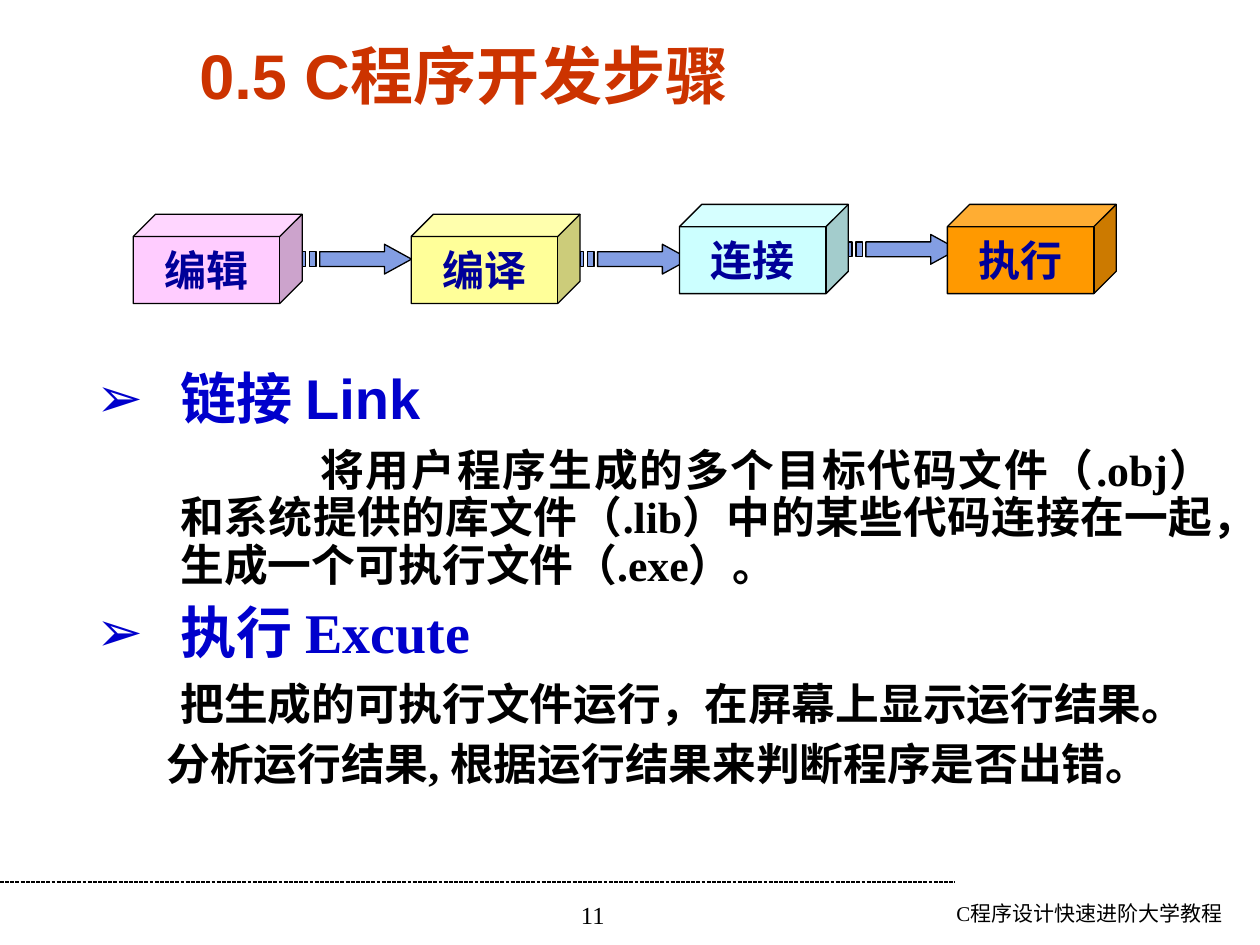
from lxml import etree
from pptx import Presentation
from pptx.dml.color import RGBColor
from pptx.enum.dml import MSO_LINE
from pptx.enum.shapes import MSO_CONNECTOR, MSO_SHAPE
from pptx.enum.text import MSO_ANCHOR, MSO_AUTO_SIZE, PP_ALIGN
from pptx.oxml.ns import qn
from pptx.util import Pt

CUBE, STRAIGHT, DASHED = MSO_SHAPE.CUBE, MSO_CONNECTOR.STRAIGHT, MSO_LINE.SQUARE_DOT
MIDDLE, NO_FIT = MSO_ANCHOR.MIDDLE, MSO_AUTO_SIZE.NONE
CENTER, RIGHT, JUSTIFY = PP_ALIGN.CENTER, PP_ALIGN.RIGHT, PP_ALIGN.JUSTIFY
SERIF, SANS, STEP_FONT = "Times New Roman", "Arial", "DejaVu Sans"
BLACK, BLUE, NAVY, RED, ARROW_BLUE = "000000", "0000CC", "000099", "CC3300", "839EE3"

CUBE_WIDTH, CUBE_HEIGHT = 96.5, 51
ARROW_WIDTH, ARROW_HEIGHT, ARROW_DROP = 62.5, 17, 17.2
STEPS = [
    ("编辑", 76.2, 122.4, "FFCCFF"),
    ("编译", 235, 122.4, "FFFF99"),
    ("连接", 388.3, 116.8, "CCFFFF"),
    ("执行", 541.4, 116.8, "FF9900"),
]
HEADING, DETAIL = (32, BLUE), (25, BLACK)
BODY = [
    ("链接 Link", HEADING, SANS, 48, -48, 0),
    ("将用户程序生成的多个目标代码文件（.obj）和系统提供的库文件（.lib）中的某些代码连接在一起，"
     "生成一个可执行文件（.exe）。", DETAIL, SERIF, 48, 80, 9.7),
    ("执行 Excute", HEADING, SERIF, 48, -48, 8.5),
    ("把生成的可执行文件运行，在屏幕上显示运行结果。", DETAIL, SERIF, 48, 0, 9.7),
    ("分析运行结果, 根据运行结果来判断程序是否出错。", DETAIL, SERIF, 40, 0, 7.2),
]


def color(value):
    """Turn a hex string into a colour."""
    return RGBColor.from_string(value)


def format_paragraph(paragraph, font_name, size, value, bold, alignment):
    """Align a paragraph and format its runs."""
    paragraph.alignment = alignment
    for run in paragraph.runs:
        font = run.font
        font.name, font.size, font.bold = font_name, Pt(size), bold
        font.color.rgb = color(value)


def paint(shape, value):
    """Give a shape a flat fill and a thin black outline."""
    shape.shadow.inherit = False
    shape.fill.solid()
    shape.fill.fore_color.rgb = color(value)
    shape.line.color.rgb = color(BLACK)
    shape.line.width = Pt(0.75)


def add_title(slide, left, top, width, height):
    """Place and format the title placeholder."""
    title = slide.shapes.title
    title.left, title.top = Pt(left), Pt(top)
    title.width, title.height = Pt(width), Pt(height)
    frame = title.text_frame
    frame.text = "0.5 C程序开发步骤"
    frame.auto_size, frame.vertical_anchor = NO_FIT, MIDDLE
    format_paragraph(frame.paragraphs[0], SANS, 36, RED, True, CENTER)


def add_text_box(slide, left, top, width, height):
    """Add a wrapping text box and return its text frame."""
    box = slide.shapes.add_textbox(Pt(left), Pt(top), Pt(width), Pt(height))
    box.text_frame.word_wrap = True
    return box.text_frame


def add_step(slide, label, left, top, value):
    """Add one labelled cube of the process."""
    cube = slide.shapes.add_shape(CUBE, Pt(left), Pt(top), Pt(CUBE_WIDTH), Pt(CUBE_HEIGHT))
    paint(cube, value)
    frame = cube.text_frame
    frame.text = label
    frame.word_wrap, frame.vertical_anchor = False, MIDDLE
    format_paragraph(frame.paragraphs[0], STEP_FONT, 24, NAVY, True, CENTER)


def add_striped_arrow(slide, left, top, width, height):
    """Add a right arrow with two stripes at its tail."""
    upper, lower = height / 4, height * 3 / 4
    head = width - 15.5
    outlines = [
        [(10, upper), (head, upper), (head, 0), (width, height / 2),
         (head, height), (head, lower), (10, lower)],
    ]
    for start, end in ((0, 2), (4.3, 7.9)):
        outlines.append([(start, upper), (end, upper), (end, lower), (start, lower)])
    builder = None
    for outline in outlines:
        points = [(Pt(left + x), Pt(top + y)) for x, y in outline]
        if builder is None:
            builder = slide.shapes.build_freeform(*points[0])
        else:
            builder.move_to(*points[0])
        builder.add_line_segments(points[1:], close=True)
    paint(builder.convert_to_shape(), ARROW_BLUE)


def add_process(slide):
    """Add the cubes with an arrow after each but the last."""
    for label, left, top, value in STEPS:
        add_step(slide, label, left, top, value)
        if label != STEPS[-1][0]:
            add_striped_arrow(slide, left + CUBE_WIDTH, top + ARROW_DROP,
                              ARROW_WIDTH, ARROW_HEIGHT)


def set_indent(paragraph, margin, indent, bulleted):
    """Set a paragraph's indents and, if wanted, its arrow bullet."""
    properties = paragraph._p.get_or_add_pPr()
    properties.set("marL", str(Pt(margin)))
    properties.set("indent", str(Pt(indent)))
    if bulleted:
        bullet_color = etree.SubElement(properties, qn("a:buClr"))
        etree.SubElement(bullet_color, qn("a:srgbClr")).set("val", BLUE)
        etree.SubElement(properties, qn("a:buFont")).set("typeface", STEP_FONT)
        etree.SubElement(properties, qn("a:buChar")).set("char", "➢")


def add_body(slide, left, top, width, height):
    """Add the headings and their explanations."""
    frame = add_text_box(slide, left, top, width, height)
    for index, (text, style, font_name, margin, indent, space) in enumerate(BODY):
        size, value = style
        paragraph = frame.add_paragraph() if index else frame.paragraphs[0]
        paragraph.text = text
        set_indent(paragraph, margin, indent, style == HEADING)
        paragraph.line_spacing = 0.9
        if index:
            paragraph.space_before = Pt(space)
        format_paragraph(paragraph, font_name, size, value, True, JUSTIFY)


def add_footer(slide, top, width):
    """Add the dashed rule, the page number and the book title."""
    rule = slide.shapes.add_connector(STRAIGHT, Pt(0), Pt(top), Pt(width), Pt(top))
    rule.line.color.rgb = color(BLACK)
    rule.line.width, rule.line.dash_style = Pt(0.75), DASHED
    etree.SubElement(rule._element.spPr, qn("a:effectLst"))
    for text, left, box_width, size, alignment in (
        ("C程序设计快速进阶大学教程", 473, 232.6, 12, RIGHT),
        ("11", 263.5, 150.5, 14, CENTER),
    ):
        frame = add_text_box(slide, left, top + 7, box_width, 28)
        frame.text = text
        format_paragraph(frame.paragraphs[0], SERIF, size, BLACK, False, alignment)


def main():
    """Build and save the slide."""
    presentation = Presentation()
    presentation.slide_width, presentation.slide_height = Pt(720), Pt(540)
    slide = presentation.slides.add_slide(presentation.slide_layouts[5])
    add_title(slide, 61, 20, 408, 45)
    add_body(slide, 48, 208.7, 652.5, 289)
    add_process(slide)
    add_footer(slide, 504, 546)
    presentation.save("out.pptx")


if __name__ == "__main__":
    main()
